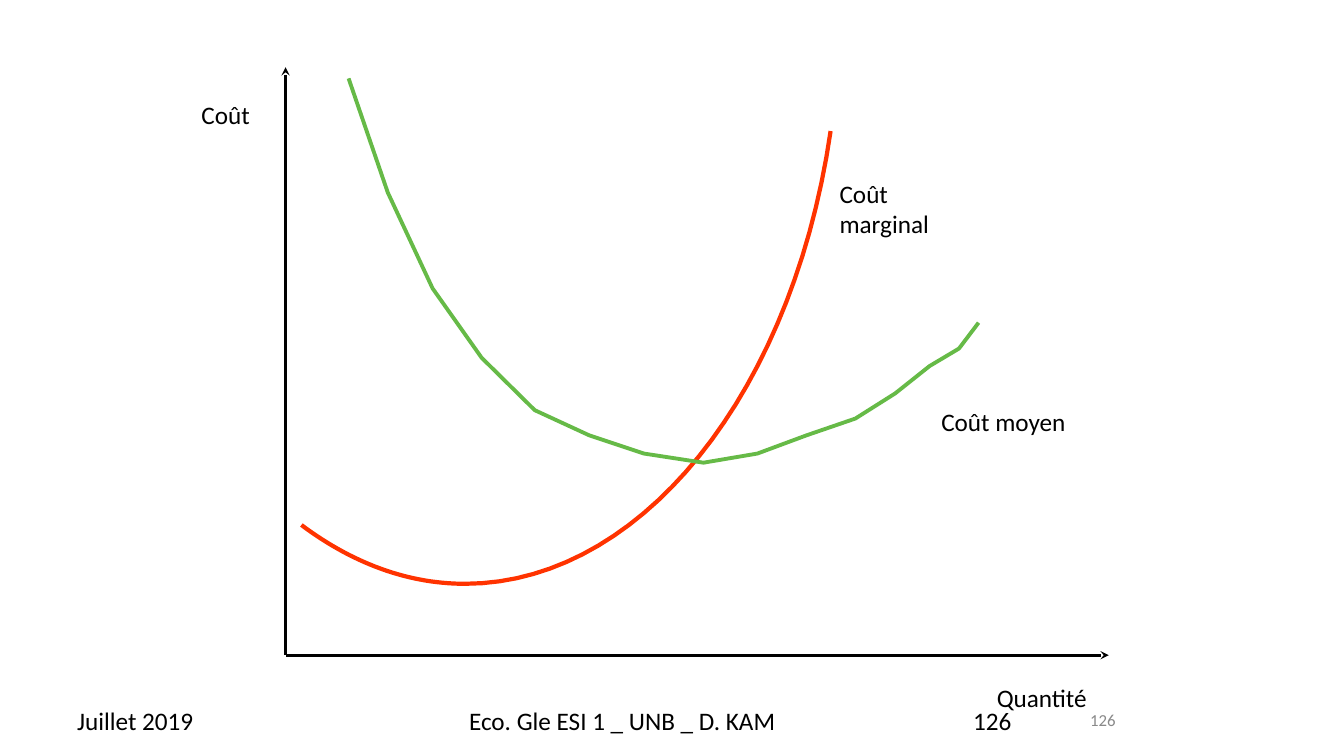
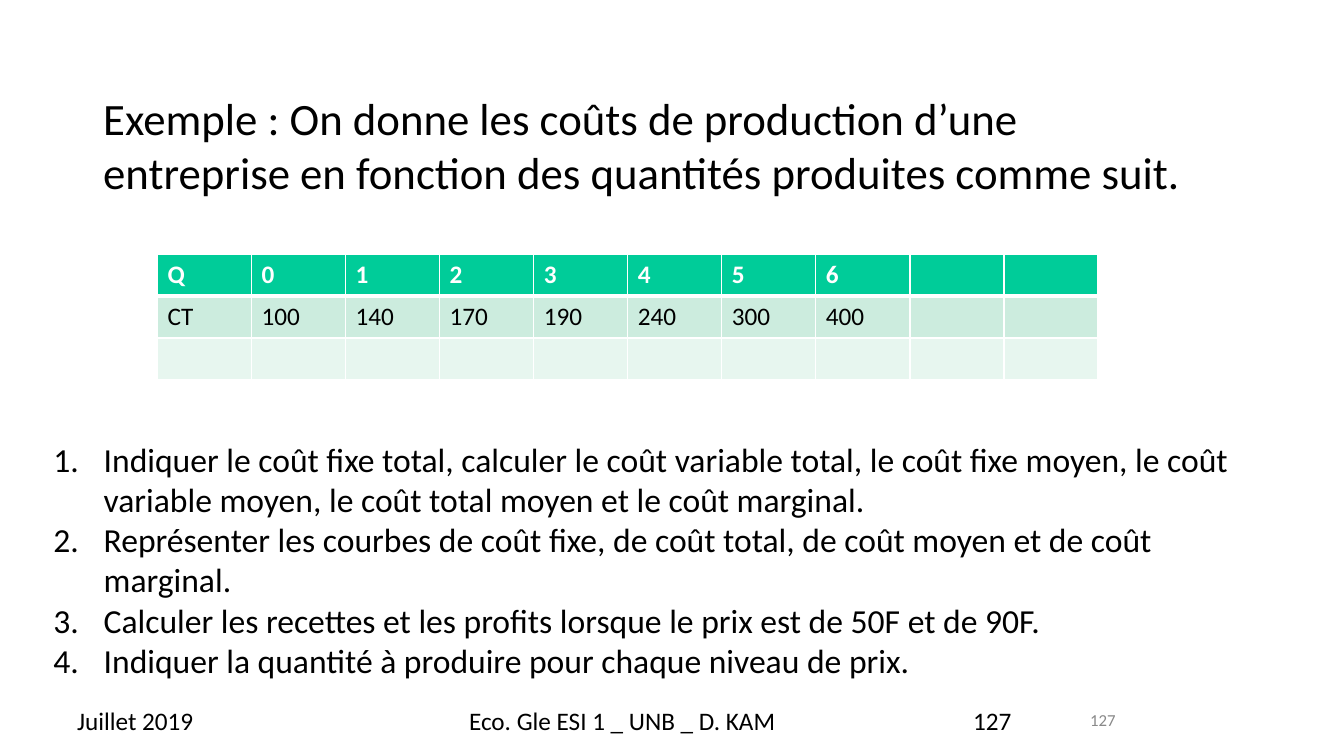
from lxml import etree
from pptx import Presentation
from pptx.dml.color import RGBColor
from pptx.enum.shapes import MSO_CONNECTOR
from pptx.enum.text import MSO_ANCHOR, MSO_AUTO_SIZE, PP_ALIGN
from pptx.oxml.ns import qn
from pptx.util import Pt

TOP, MIDDLE = MSO_ANCHOR.TOP, MSO_ANCHOR.MIDDLE
LEFT, RIGHT = PP_ALIGN.LEFT, PP_ALIGN.RIGHT
STRAIGHT, NO_FIT = MSO_CONNECTOR.STRAIGHT, MSO_AUTO_SIZE.NONE
TITLE_ONLY, BLANK = 5, 6
FONT = "Calibri"
COLORS = {
    "text": "000000", "white": "FFFFFF", "muted": "898989",
    "marginal": "FF3300", "mean": "66BA47",
    "header": "00CC99", "band1": "CCECDE", "band2": "E7F6EF",
}

# Content: footer shared by both slides
FOOTER_Y, FOOTER_H = 500.4, 28
DATE, COURSE = "Juillet 2019", "Eco. Gle ESI 1 _ UNB _ D. KAM"
PAGES = (126, 127)

# Content: cost curves
ORIGIN, Y_END, X_END = (204, 468), (204, 48), (792, 468)
MARGINAL_BEZIERS = [
    ((593.3, 93.6), (566, 282), (457, 417), (332, 417)),
    ((332, 417), (291.6, 417), (252, 402.5), (215.3, 375)),
]
MEAN_POINTS = [
    (249, 56), (277, 137.5), (309, 206), (344, 255.5), (382, 293),
    (421, 311), (460, 324), (502.5, 330.5), (541, 324), (576, 311),
    (611, 299), (639.5, 281), (664, 261.5), (685, 249), (699, 230.5),
]
LABELS = [
    (["Coût", "marginal"], (592.6, 123.8, 151, 51)),
    (["Coût"], (136.8, 67.7, 56, 29)),
    (["Quantité"], (704.9, 483.8, 106.6, 29)),
    (["Coût moyen"], (665.3, 286.6, 112.3, 29)),
]

# Content: exercise
STATEMENT = ("Exemple : On donne les coûts de production d’une entreprise "
             "en fonction des quantités produites comme suit.")
COST_ROWS = [
    ["Q", "0", "1", "2", "3", "4", "5", "6", "", ""],
    ["CT", "100", "140", "170", "190", "240", "300", "400", "", ""],
    [""] * 10,
]
ROW_STYLES = [("header", "white", True), ("band1", "text", False),
              ("band2", "text", False)]
QUESTIONS = [
    "Indiquer le coût fixe total, calculer le coût variable total, le coût "
    "fixe moyen, le coût variable moyen, le coût total moyen et le coût marginal.",
    "Représenter les courbes de coût fixe, de coût total, de coût moyen et "
    "de coût marginal.",
    "Calculer les recettes et les profits lorsque le prix est de 50F et de 90F.",
    "Indiquer la quantité à produire pour chaque niveau de prix.",
]


def rgb(name):
    return RGBColor.from_string(COLORS[name])


def place(sp, box):
    sp.left, sp.top, sp.width, sp.height = map(Pt, box)


def add_run(p, text, size, color="text", bold=False):
    r = p.add_run()
    r.text = text
    r.font.name, r.font.size, r.font.bold = FONT, Pt(size), bold
    r.font.color.rgb = rgb(color)


def write(tf, lines, size, color="text", align=LEFT, anchor=TOP):
    tf.word_wrap, tf.auto_size, tf.vertical_anchor = True, NO_FIT, anchor
    for i, line in enumerate(lines):
        p = tf.add_paragraph() if i else tf.paragraphs[0]
        p.alignment = align
        add_run(p, line, size, color)


def add_text(slide, lines, box, size=18, **style):
    sp = slide.shapes.add_textbox(*map(Pt, box))
    write(sp.text_frame, lines, size, **style)
    return sp


def add_footer(slide, page):
    for text, x, w in ((DATE, 48, 223), (str(page), 688, 223), (COURSE, 328, 304)):
        add_text(slide, [text], (x, FOOTER_Y, w, FOOTER_H), anchor=MIDDLE)
    add_text(slide, [str(page)], (636, FOOTER_Y, 168, FOOTER_H), size=12,
             color="muted", align=RIGHT, anchor=MIDDLE)


def add_axis(slide, start, end):
    axis = slide.shapes.add_connector(STRAIGHT, *map(Pt, start + end))
    axis.line.color.rgb, axis.line.width = rgb("text"), Pt(2)
    etree.SubElement(axis.line._get_or_add_ln(), qn("a:tailEnd"), type="stealth")
    etree.SubElement(axis._element.spPr, qn("a:effectLst"))


def bezier(a, b, c, d, steps=30):
    for i in range(steps + 1):
        t = i / steps
        u = 1 - t
        weights = (u ** 3, 3 * u * u * t, 3 * u * t * t, t ** 3)
        yield tuple(sum(w * q[k] for w, q in zip(weights, (a, b, c, d)))
                    for k in (0, 1))


def add_curve(slide, points, color, width):
    points = [(Pt(x), Pt(y)) for x, y in points]
    builder = slide.shapes.build_freeform(*points[0])
    builder.add_line_segments(points[1:], close=False)
    sp = builder.convert_to_shape()
    sp.shadow.inherit = False
    sp.fill.background()
    sp.line.color.rgb, sp.line.width = rgb(color), Pt(width)


def set_borders(cell, bottom):
    tc_pr = cell._tc.get_or_add_tcPr()
    for side, width in (("L", 1), ("R", 1), ("T", 1), ("B", bottom)):
        ln = etree.SubElement(tc_pr, qn("a:ln" + side), w=str(Pt(width)))
        fill = etree.SubElement(ln, qn("a:solidFill"))
        etree.SubElement(fill, qn("a:srgbClr"), val=COLORS["white"])


def add_cost_table(slide):
    table = slide.shapes.add_table(len(COST_ROWS), len(COST_ROWS[0]), Pt(112.5),
                                   Pt(181.5), Pt(672), Pt(90)).table
    for i, (row, (fill, color, bold)) in enumerate(zip(COST_ROWS, ROW_STYLES)):
        for j, text in enumerate(row):
            cell = table.cell(i, j)
            set_borders(cell, 1 if i else 3)
            cell.fill.solid()
            cell.fill.fore_color.rgb = rgb(fill)
            if text:
                add_run(cell.text_frame.paragraphs[0], text, 18, color, bold)


def build_curves(prs):
    slide = prs.slides.add_slide(prs.slide_layouts[BLANK])
    marginal = [pt for curve in MARGINAL_BEZIERS for pt in bezier(*curve)]
    add_curve(slide, marginal, "marginal", 3)
    for end in (Y_END, X_END):
        add_axis(slide, ORIGIN, end)
    add_curve(slide, MEAN_POINTS, "mean", 2.75)
    for lines, box in LABELS:
        add_text(slide, lines, box)
    return slide


def build_exercise(prs):
    slide = prs.slides.add_slide(prs.slide_layouts[TITLE_ONLY])
    title = slide.shapes.title
    place(title, (66.5, 61, 799, 85))
    write(title.text_frame, [STATEMENT], 32)
    add_cost_table(slide)
    questions = add_text(slide, QUESTIONS, (31, 309.6, 869, 181.4), size=24)
    for p in questions.text_frame.paragraphs:
        p_pr = p._p.get_or_add_pPr()
        p_pr.set("marL", str(Pt(36)))
        p_pr.set("indent", str(-Pt(36)))
        etree.SubElement(p_pr, qn("a:buFont"), typeface=FONT)
        etree.SubElement(p_pr, qn("a:buAutoNum"), type="arabicPeriod")
    return slide


def main():
    prs = Presentation()
    prs.slide_width, prs.slide_height = Pt(960), Pt(540)
    for build, page in zip((build_curves, build_exercise), PAGES):
        add_footer(build(prs), page)
    prs.save("out.pptx")


if __name__ == "__main__":
    main()
